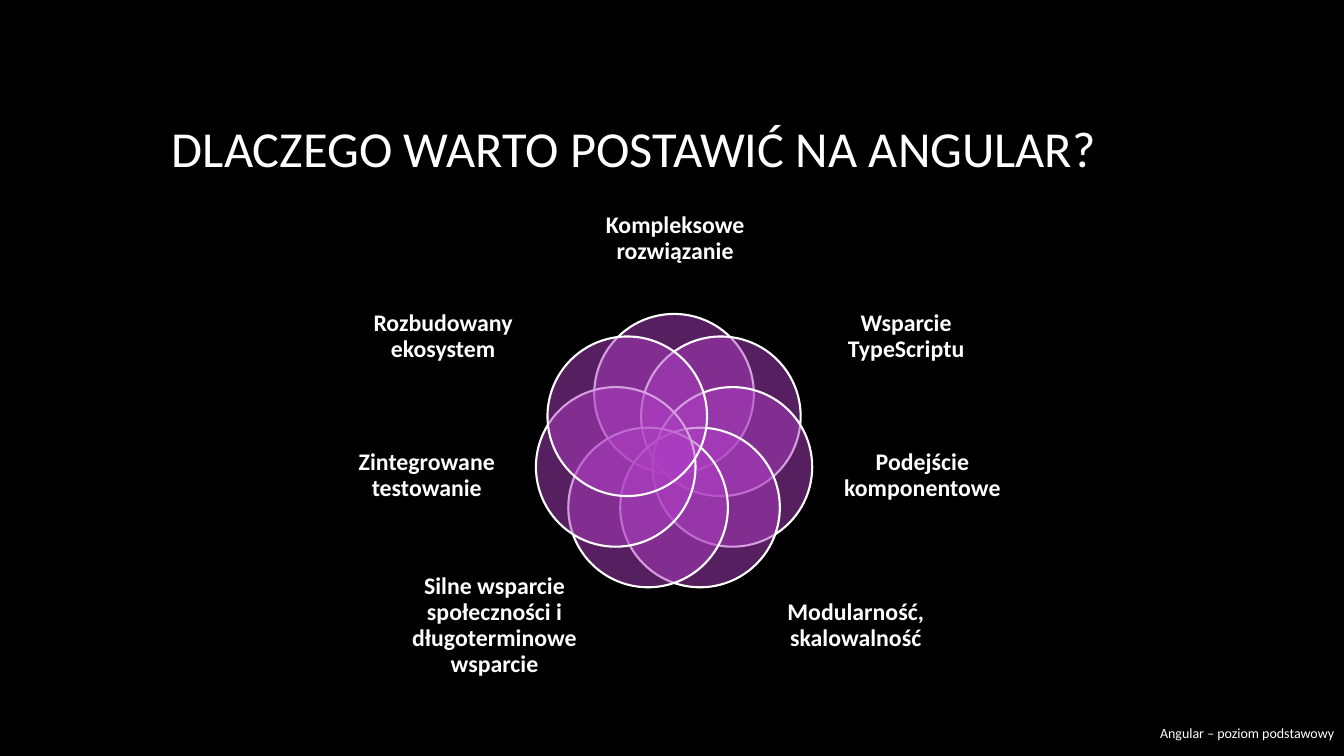
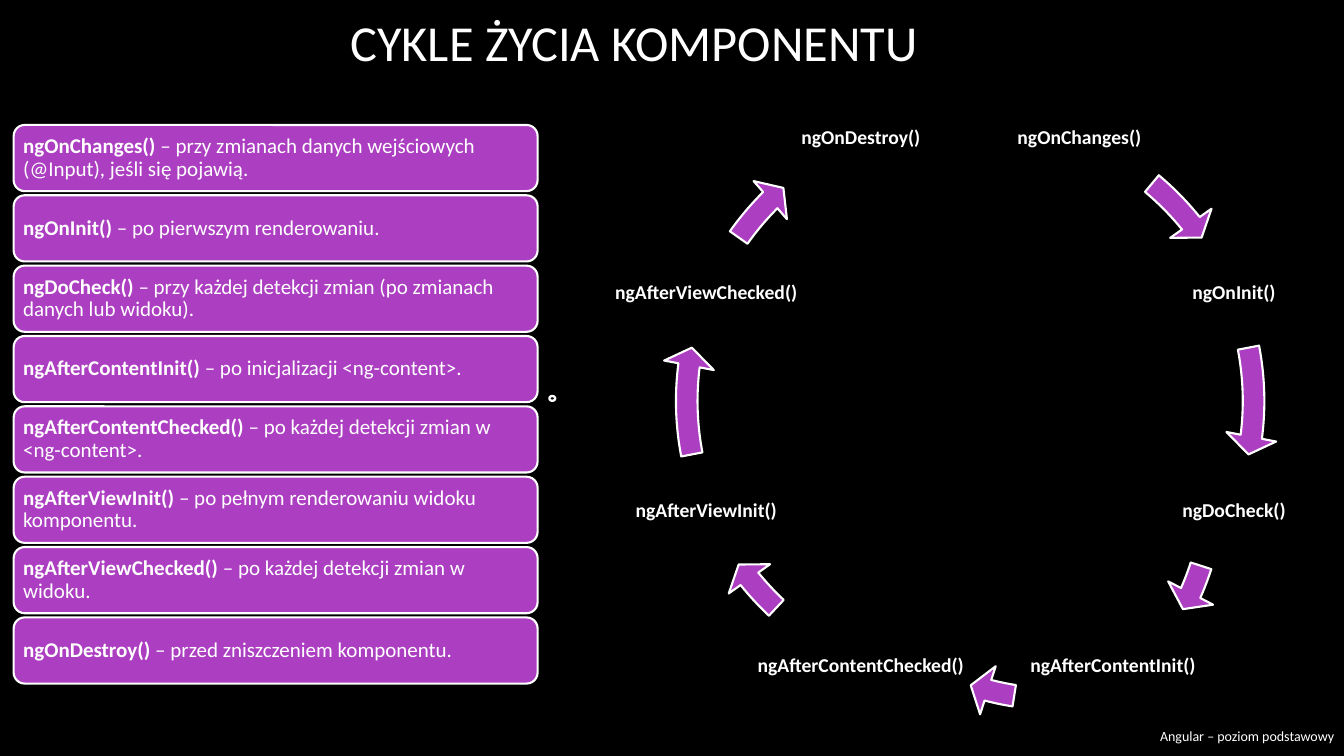
from dataclasses import dataclass
from math import cos, radians, sin
from typing import NamedTuple

from lxml.etree import SubElement
from pptx import Presentation
from pptx.dml.color import RGBColor
from pptx.enum.shapes import MSO_SHAPE as SHAPE
from pptx.enum.text import MSO_ANCHOR as ANCHOR, PP_ALIGN as ALIGN
from pptx.oxml.ns import qn
from pptx.util import Emu, Pt


@dataclass(frozen=True)
class Theme:
    """Colours, font and type sizes shared by the slides."""
    background: RGBColor = RGBColor(0x00, 0x00, 0x00)
    text: RGBColor = RGBColor(0xFF, 0xFF, 0xFF)
    accent: RGBColor = RGBColor(0xAC, 0x3E, 0xC1)
    font: str = "Calibri"
    title: int = 36
    reason: int = 17
    row: int = 15
    step: int = 14
    footer: int = 10
    outline: float = 1.5
    tight: float = 0.9


class Step(NamedTuple):
    """A lifecycle hook, its label, and the arrow that leaves it (degrees)."""
    name: str
    description: str
    label_width: int
    start: float
    end: float
    label_shift: int = 0
    arrow_shift: tuple = (0, 0)


THEME = Theme()
EMU_PER_PX = 9525
FOOTER = "Angular – poziom podstawowy"

REASONS = [
    ("Kompleksowe rozwiązanie", (556, 181, 174, 93)),
    ("Wsparcie TypeScriptu", (781, 270, 164, 102)),
    ("Podejście komponentowe", (798, 399, 161, 109)),
    ("Modularność, skalowalność", (728, 546, 174, 100)),
    ("Silne wsparcie społeczności i długoterminowe wsparcie", (384, 546, 174, 100)),
    ("Zintegrowane testowanie", (326, 399, 161, 109)),
    ("Rozbudowany ekosystem", (340, 270, 164, 102)),
]

STEPS = [
    Step("ngOnChanges()", "przy zmianach danych wejściowych (@Input), jeśli się pojawią.",
         140, 309.89, 321.15),
    Step("ngOnInit()", "po pierwszym renderowaniu.", 106, 349.14, 7.24),
    Step("ngDoCheck()", "przy każdej detekcji zmian (po zmianach danych lub widoku).",
         106, 17.89, 23.78, arrow_shift=(-37, 74)),
    Step("ngAfterContentInit()", "po inicjalizacji <ng-content>.",
         184, 98.95, 104.39, label_shift=32, arrow_shift=(84, 14)),
    Step("ngAfterContentChecked()", "po każdej detekcji zmian w <ng-content>.",
         210, 133.15, 141.15),
    Step("ngAfterViewInit()", "po pełnym renderowaniu widoku komponentu.",
         179, 169.14, 187.24),
    Step("ngAfterViewChecked()", "po każdej detekcji zmian w widoku.",
         188, 215.24, 225.15),
    Step("ngOnDestroy()", "przed zniszczeniem komponentu.", 151, 263.9, 273.51),
]


def px(*lengths):
    """Turn px lengths into EMU."""
    return [Emu(round(n * EMU_PER_PX)) for n in lengths]


def around(x, y, w, h):
    """Return the box of a given size centred on a point."""
    return x - w / 2, y - h / 2, w, h


def ring(center, radius, count, first):
    """Yield points spaced evenly clockwise on a circle."""
    for i in range(count):
        angle = radians(first + 360 * i / count)
        yield center[0] + radius * cos(angle), center[1] + radius * sin(angle)


def write(sp, runs, size, align=ALIGN.CENTER, inset=None, spacing=None):
    """Fill a shape with one paragraph of (text, bold) runs."""
    tf = sp.text_frame
    formats = {"word_wrap": True, "vertical_anchor": ANCHOR.MIDDLE}
    if inset is not None:
        sides = ("left", "top", "right", "bottom")
        formats.update({f"margin_{side}": px(inset)[0] for side in sides})
    for name, value in formats.items():
        setattr(tf, name, value)
    p = tf.paragraphs[0]
    p.alignment = align
    p.line_spacing = spacing
    for text, bold in runs:
        r = p.add_run()
        r.text = text
        font = {"name": THEME.font, "size": Pt(size), "bold": bold}
        for name, value in font.items():
            setattr(r.font, name, value)
        r.font.color.rgb = THEME.text


def add_text(shapes, box, runs, size, **layout):
    """Add a text box."""
    write(shapes.add_textbox(*px(*box)), runs, size, **layout)


def add_figure(shapes, kind, box):
    """Add an accent shape with a white outline."""
    sp = shapes.add_shape(kind, *px(*box))
    sp.shadow.inherit = False
    sp.fill.solid()
    sp.fill.fore_color.rgb = THEME.accent
    sp.line.color.rgb = THEME.text
    sp.line.width = Pt(THEME.outline)
    return sp


def add_petal(shapes, box):
    """Add a half transparent circle."""
    sp = add_figure(shapes, SHAPE.OVAL, box)
    color = sp.element.spPr.find(qn("a:solidFill"))[0]
    SubElement(color, qn("a:alpha"), val="50000")


def add_arc_arrow(shapes, kind, box, start, end):
    """Add a circular arrow running between two angles."""
    sp = add_figure(shapes, kind, box)
    degree = 60000 / 100000
    values = (3.5 / 100, 3.62 * degree, end * degree, start * degree, 4.1 / 100)
    for i, value in enumerate(values):
        sp.adjustments[i] = value


def add_slide(prs, title, title_box, footer_box):
    """Add a blank slide with a title and a footer."""
    s = prs.slides.add_slide(prs.slide_layouts[6])
    add_text(s.shapes, title_box, [(title, False)], THEME.title)
    add_text(s.shapes, footer_box, [(FOOTER, False)], THEME.footer, align=ALIGN.RIGHT)
    return s


def add_flower(s):
    """Draw the overlapping circles and the reasons around them."""
    shapes = s.shapes.add_group_shape().shapes
    points = ring((642, 432), 57, len(REASONS), -90)
    for (x, y), (text, box) in zip(points, REASONS):
        add_petal(shapes, around(x, y, 152, 152))
        add_text(shapes, box, [(text, True)], THEME.reason, inset=0, spacing=THEME.tight)


def add_cycle(s):
    """Draw the hooks in a ring with an arrow after each."""
    shapes = s.shapes.add_group_shape().shapes
    points = ring((924, 383), 272, len(STEPS), -67.5)
    for (x, y), step in zip(points, STEPS):
        add_text(shapes, around(x + step.label_shift, y, step.label_width, 106),
                 [(step.name, True)], THEME.step, inset=2, spacing=THEME.tight)
        if step is STEPS[-1]:
            kind, box = SHAPE.LEFT_CIRCULAR_ARROW, (523, 377, 6, 5)
        else:
            dx, dy = step.arrow_shift
            kind, box = SHAPE.CIRCULAR_ARROW, (630 + dx, 88 + dy, 588, 588)
        add_arc_arrow(shapes, kind, box, step.start, step.end)


def add_rows(s):
    """Stack one described bar for each hook."""
    shapes = s.shapes.add_group_shape().shapes
    for i, step in enumerate(STEPS):
        sp = add_figure(shapes, SHAPE.ROUNDED_RECTANGLE, (13, 119 + 67 * i, 499, 63))
        write(sp, [(step.name, True), (f" – {step.description}", False)], THEME.row,
              align=ALIGN.LEFT, inset=6, spacing=THEME.tight)


def main():
    """Build and save the presentation."""
    prs = Presentation()
    prs.slide_width, prs.slide_height = px(1280, 720)
    fill = prs.slide_master.background.fill
    fill.solid()
    fill.fore_color.rgb = THEME.background

    s = add_slide(prs, "DLACZEGO WARTO POSTAWIĆ NA ANGULAR?",
                  (72, 64, 1064, 153), (1065, 679, 215, 39))
    add_flower(s)

    s = add_slide(prs, "CYKLE ŻYCIA KOMPONENTU",
                  (72, 0, 1064, 79), (1091, 681, 189, 39))
    add_cycle(s)
    add_rows(s)

    prs.save("out.pptx")


if __name__ == "__main__":
    main()
